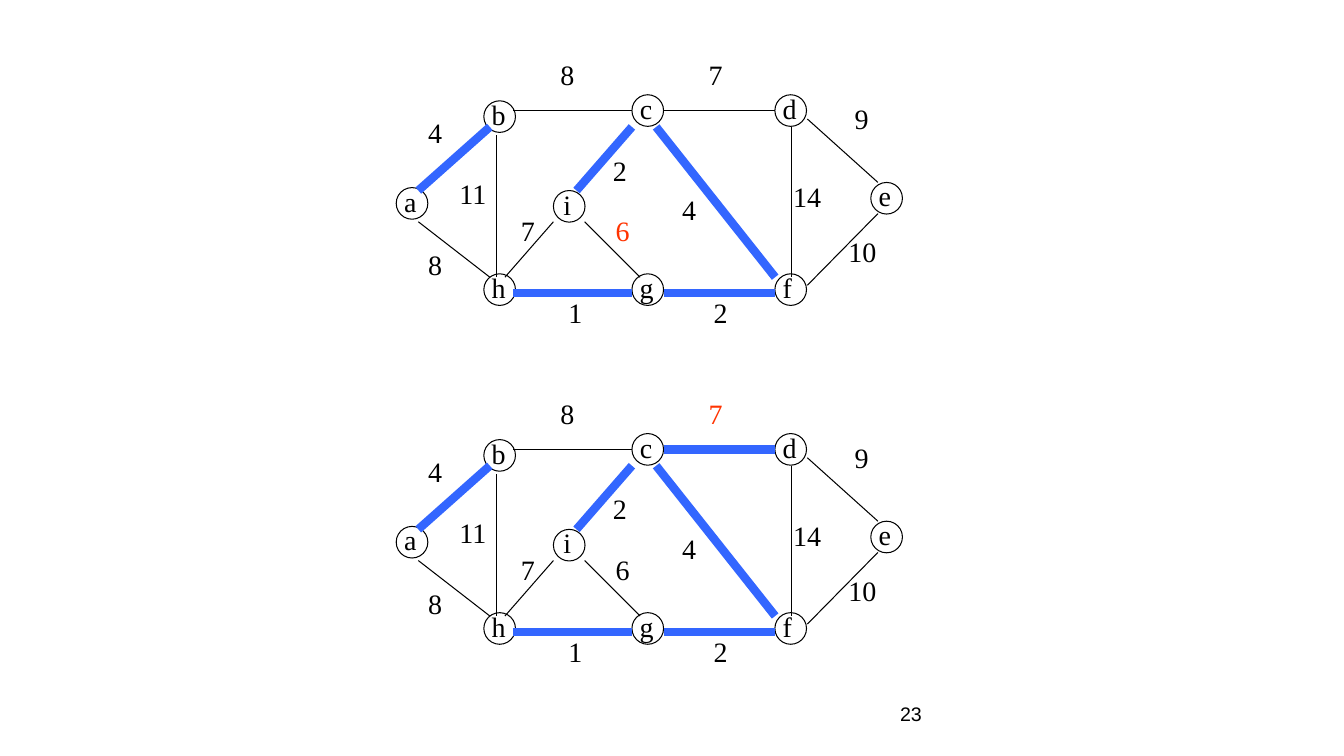
from lxml.etree import SubElement
from pptx import Presentation
from pptx.dml.color import RGBColor
from pptx.enum.shapes import MSO_CONNECTOR, MSO_SHAPE
from pptx.enum.text import MSO_ANCHOR
from pptx.oxml.ns import qn
from pptx.util import Pt

BLACK = RGBColor(0x00, 0x00, 0x00)
BLUE = RGBColor(0x33, 0x66, 0xFF)
RED = RGBColor(0xFF, 0x33, 0x00)

DIAMETER = 22.6
GRAPH_SPACING = 242

# Node: circle left and top, label offset from the circle, label width
NODES = {
    "a": (283, 134, -1.5, 23),
    "b": (345.6, 72, -1.5, 24.5),
    "h": (345.6, 195.6, -1.5, 24.5),
    "c": (451.4, 67.7, -1.5, 23),
    "d": (553.5, 67.7, -1.5, 24.5),
    "e": (622, 130.3, -1.5, 23),
    "f": (553.5, 195.6, -1.5, 21),
    "g": (451.4, 195.6, -1.5, 24.5),
    "i": (395.3, 136.1, 0, 20),
}

# Edge: start point, end point, weight, weight label left and top
EDGES = {
    "ab": ((298.8, 136.1), (349.9, 90.7), "4", (298.8, 79.2)),
    "ah": ((298.8, 158.4), (349.9, 198), "8", (298.8, 173.5)),
    "bh": ((355, 96.5), (355, 198), "11", (321.1, 122.4)),
    "bc": ((366.5, 79.2), (451.4, 79.2), "8", (393.1, 37.4)),
    "hg": ((366.5, 209.5), (451.4, 209.5), "1", (398.9, 207.4)),
    "gf": ((474.5, 209.5), (553.7, 209.5), "2", (502.6, 207.4)),
    "cf": ((468.7, 90.7), (553.7, 198), "4", (480.2, 133.9)),
    "cd": ((474.5, 79.2), (553.7, 79.2), "7", (499, 37.4)),
    "df": ((565.2, 90.7), (565.2, 198), "14", (559.4, 124.6)),
    "de": ((576.7, 85), (627.1, 130.3), "9", (603.4, 69.1)),
    "fe": ((576.7, 203.8), (627.1, 152.6), "10", (599, 164.2)),
    "ig": ((417.6, 158.4), (457.2, 198), "6", (432.7, 149)),
    "hi": ((360.7, 198), (395.3, 158.4), "7", (365, 149)),
    "ic": ((411.8, 136.1), (451.4, 90.7), "2", (430.6, 105.8)),
}

FIRST_TREE = {"ab", "hg", "gf", "cf", "ic"}


def add_label(shapes, text, left, top, width, height=31.2, color=BLACK,
              font="Times New Roman", size=20):
    box = shapes.add_textbox(Pt(left), Pt(top), Pt(width), Pt(height))
    box.text_frame.text = text
    box.text_frame.word_wrap = False
    span = box.text_frame.paragraphs[0].runs[0]
    span.font.name = font
    span.font.size = Pt(size)
    span.font.color.rgb = color
    return box


def add_node(shapes, name, shift):
    left, top, offset, width = NODES[name]
    add_label(shapes, name, left + offset, top + shift - 6, width)
    circle = shapes.add_shape(MSO_SHAPE.OVAL, Pt(left), Pt(top + shift),
                              Pt(DIAMETER), Pt(DIAMETER))
    circle.shadow.inherit = False
    circle.fill.background()
    circle.line.color.rgb = BLACK
    circle.line.width = Pt(0.75)


def add_edge(shapes, start, end, shift, in_tree):
    line = shapes.add_connector(MSO_CONNECTOR.STRAIGHT,
                                Pt(start[0]), Pt(start[1] + shift),
                                Pt(end[0]), Pt(end[1] + shift))
    line.line.color.rgb = BLUE if in_tree else BLACK
    line.line.width = Pt(6 if in_tree else 0.75)
    SubElement(line.element.spPr, qn("a:effectLst"))


def add_graph(page, shift, tree, examined):
    shapes = page.shapes.add_group_shape().shapes
    for name in NODES:
        add_node(shapes, name, shift)
    for edge, (start, end, weight, (left, top)) in EDGES.items():
        add_edge(shapes, start, end, shift, edge in tree)
        add_label(shapes, weight, left, top + shift, 14.4 + 10 * len(weight),
                  color=RED if edge == examined else BLACK)


def main():
    deck = Presentation()
    deck.slide_width, deck.slide_height = Pt(960), Pt(540)
    page = deck.slides.add_slide(deck.slide_layouts[6])

    # Slide number
    number = add_label(page.shapes, "23", 635.8, 491.8, 150, 36,
                       font="Arial", size=14)
    number.text_frame.word_wrap = True
    number.text_frame.vertical_anchor = MSO_ANCHOR.MIDDLE

    # Two successive steps of the spanning tree
    add_graph(page, GRAPH_SPACING, FIRST_TREE | {"cd"}, "cd")
    add_graph(page, 0, FIRST_TREE, "ig")

    deck.save("out.pptx")


if __name__ == "__main__":
    main()
